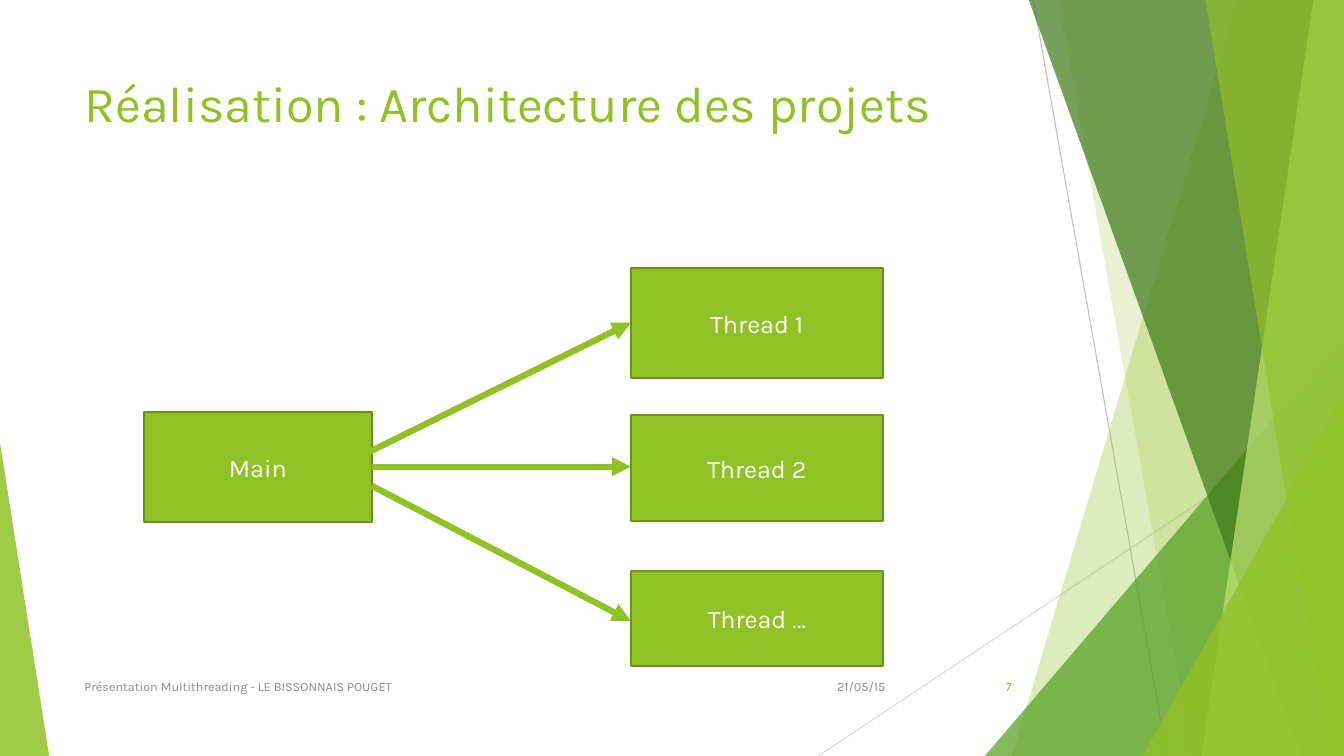
from lxml import etree
from pptx import Presentation
from pptx import util as u
from pptx.dml.color import RGBColor
from pptx.enum import shapes, text
from pptx.oxml import ns

WIDTH, HEIGHT = 33.87, 19.05


def color(hex_string):
    return RGBColor.from_string(hex_string)


class Board:
    """Holds the style and the slide being drawn."""
    font = "Karla"
    green, border, white, gray = "90C226", "6B901C", "FFFFFF", "8C8C8C"

    def __init__(self, slide):
        self.shapes = slide.shapes

    def paint(self, shape, fill, opacity=100, line=None):
        shape.shadow.inherit = False
        shape.fill.solid()
        shape.fill.fore_color.rgb = color(fill)
        if opacity < 100:
            tint = shape._element.spPr.find(".//" + ns.qn("a:srgbClr"))
            etree.SubElement(tint, ns.qn("a:alpha"), val=str(opacity * 1000))
        if line:
            shape.line.color.rgb = color(line)
            shape.line.width = u.Pt(1.5)
        else:
            shape.line.fill.background()

    def add_words(self, shape, words, size, ink, align, anchor):
        frame = shape.text_frame
        frame.word_wrap = True
        frame.vertical_anchor = anchor
        paragraph = frame.paragraphs[0]
        paragraph.alignment = align
        run = paragraph.add_run()
        run.text = words
        run.font.name = self.font
        run.font.size = u.Pt(size)
        run.font.color.rgb = color(ink)

    def label(self, words, left, top, width, height, size, ink,
              align=text.PP_ALIGN.LEFT, anchor=text.MSO_ANCHOR.MIDDLE):
        area = self.shapes.add_textbox(*map(u.Cm, (left, top, width, height)))
        self.add_words(area, words, size, ink, align, anchor)

    def box(self, words, left, top, width, height):
        block = self.shapes.add_shape(shapes.MSO_SHAPE.RECTANGLE,
                                      *map(u.Cm, (left, top, width, height)))
        self.paint(block, self.green, line=self.border)
        self.add_words(block, words, 18, self.white,
                       text.PP_ALIGN.CENTER, text.MSO_ANCHOR.MIDDLE)

    def band(self, top_x, bottom_x, fill, opacity):
        """A full-height band from a slanted edge to the right side."""
        corners = [(u.Cm(x), u.Cm(y)) for x, y in (
            (top_x, 0), (WIDTH, 0), (WIDTH, HEIGHT), (bottom_x, HEIGHT))]
        outline = self.shapes.build_freeform(*corners[0])
        outline.add_line_segments(corners[1:], close=True)
        self.paint(outline.convert_to_shape(), fill, opacity)

    def wedge(self, left, top, width, apex, fill, opacity):
        """A triangle standing on the bottom edge of the slide."""
        corner = self.shapes.add_shape(
            shapes.MSO_SHAPE.ISOSCELES_TRIANGLE,
            *map(u.Cm, (left, top, width, HEIGHT - top)))
        corner.adjustments[0] = apex
        self.paint(corner, fill, opacity)

    def line(self, start, end, ink, width, arrow=False):
        link = self.shapes.add_connector(shapes.MSO_CONNECTOR.STRAIGHT,
                                         *map(u.Cm, start + end))
        link.line.color.rgb = color(ink)
        link.line.width = u.Pt(width)
        properties = link._element.spPr
        if arrow:
            etree.SubElement(properties.find(ns.qn("a:ln")),
                             ns.qn("a:tailEnd"), type="triangle")
        etree.SubElement(properties, ns.qn("a:effectLst"))


def main():
    deck = Presentation()
    deck.slide_width, deck.slide_height = u.Cm(WIDTH), u.Cm(HEIGHT)
    board = Board(deck.slides.add_slide(deck.slide_layouts[6]))
    green = board.green

    # Decoration: thin lines, then overlapping facets
    board.line((26.04, 0), (29.41, HEIGHT), "BFBFBF", 0.75)
    board.line((WIDTH, 10.24), (20.62, HEIGHT), "D9D9D9", 0.75)
    board.band(31.19, 25.5, green, 30)
    board.band(26.67, 30.05, green, 20)
    board.wedge(24.82, 8.46, WIDTH - 24.82, 1, "54A021", 72)
    board.band(25.93, 32.79, "3F7819", 70)
    board.band(33.1, 30.28, "C0E474", 70)
    board.band(30.38, 33.48, green, 65)
    board.wedge(28.8, 9.98, WIDTH - 28.8, 1, green, 80)
    board.wedge(0, 11.15, 1.24, 0, green, 85)

    # Title
    board.label("Réalisation : Architecture des projets", 1.88, 1.7, 23.88,
                3.66, 36, green, anchor=text.MSO_ANCHOR.TOP)

    # Main program and its threads
    board.box("Main", 3.63, 10.39, 5.74, 2.77)
    thread_left = 15.9
    threads = [("Thread 1", 6.76, 2.77), ("Thread 2", 10.46, 2.67),
               ("Thread …", 14.38, 2.41)]
    for name, top, height in threads:
        board.box(name, thread_left, top, 6.35, height)

    # Arrows from the main program to each thread
    for start, end_y in [((9.32, 11.38), 8.13), ((9.37, 11.76), 11.76),
                         ((9.37, 12.24), 15.65)]:
        board.line(start, (thread_left, end_y), green, 4.5, arrow=True)

    # Footer
    right = text.PP_ALIGN.RIGHT
    for words, left, width, ink, align in [
            ("21/05/15", 20.02, 2.54, board.gray, right),
            ("Présentation Multithreading - LE BISSONNAIS POUGET",
             1.88, 17.5, board.gray, text.PP_ALIGN.LEFT),
            ("7", 23.85, 1.9, green, right)]:
        board.label(words, left, 16.79, width, 1.02, 9, ink, align)

    deck.save("out.pptx")


if __name__ == "__main__":
    main()
